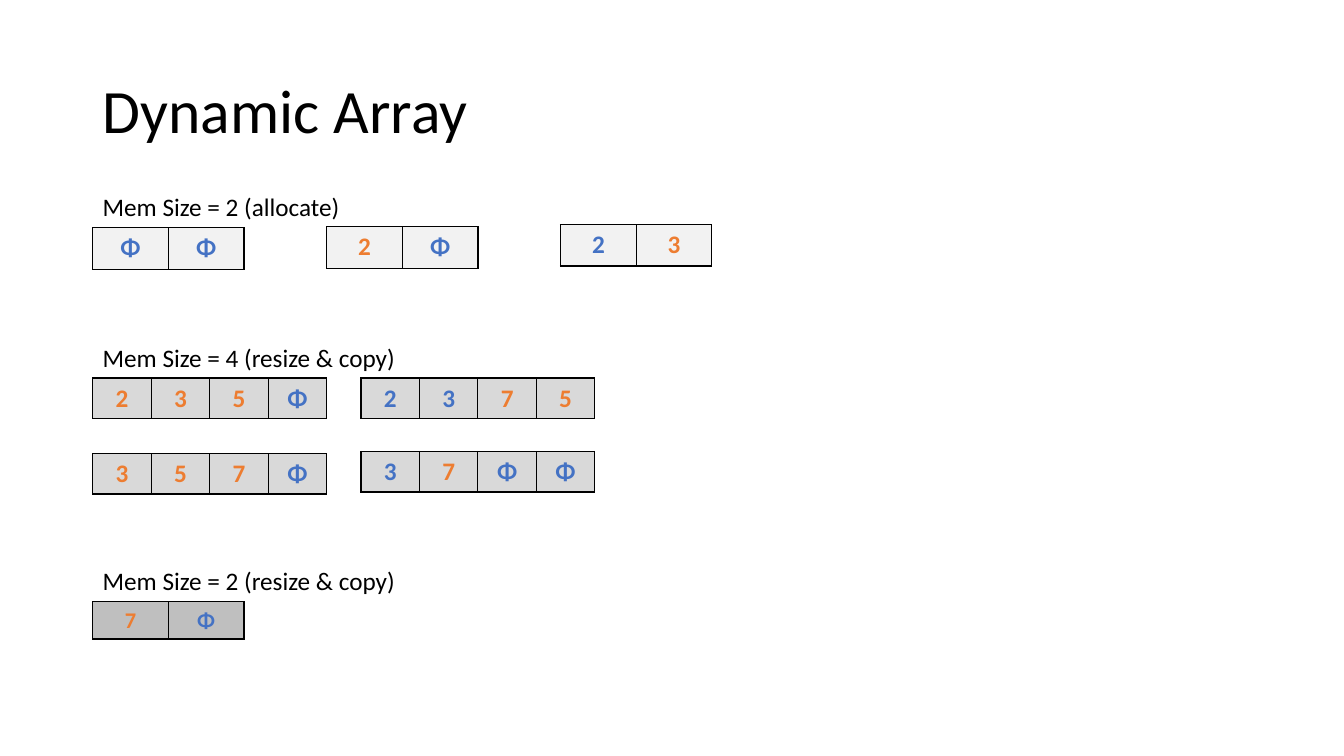
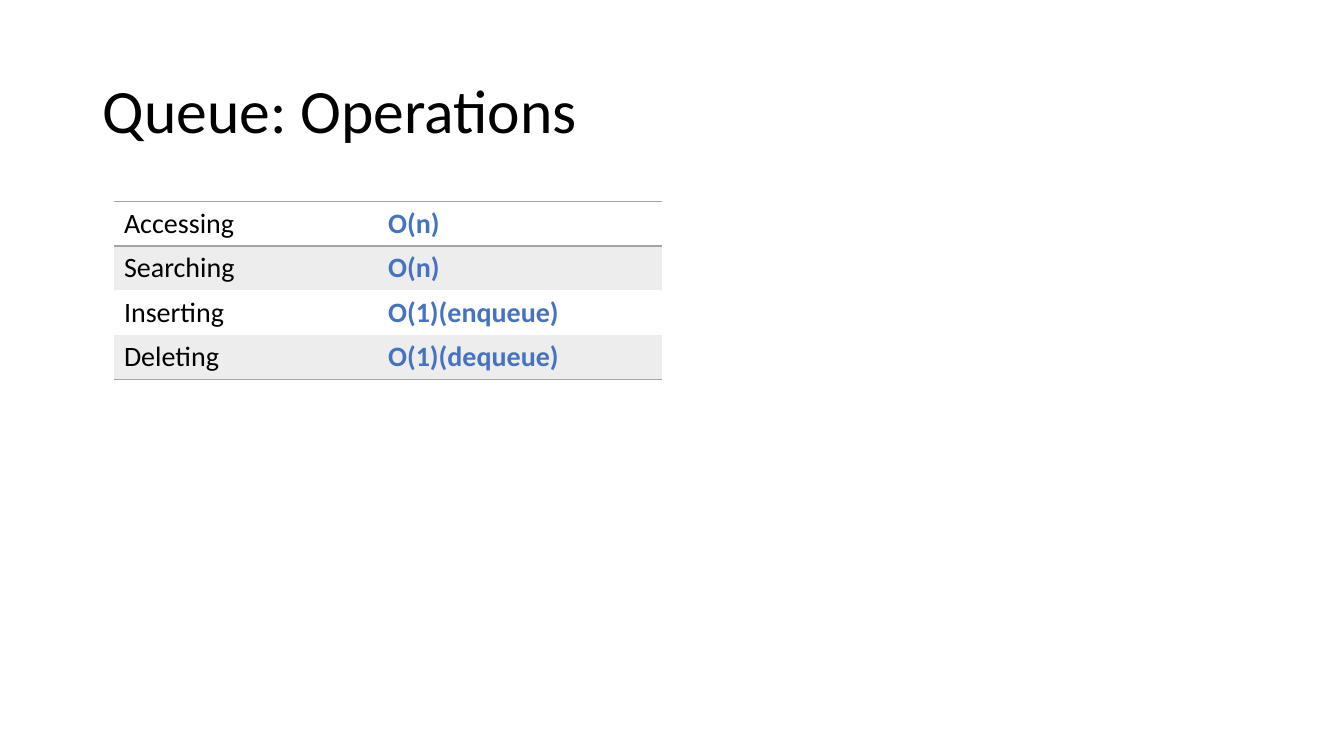
"""Build two slides on dynamic arrays and queue operations."""
import pptx
import pptx.util
import pptx.dml.color
import pptx.enum.text
import pptx.oxml
import pptx.oxml.ns

Inches, Pt = pptx.util.Inches, pptx.util.Pt
Color = pptx.dml.color.RGBColor
Align = pptx.enum.text.PP_ALIGN
Anchor = pptx.enum.text.MSO_ANCHOR

FONT = "Calibri"
BLACK = Color(0x00, 0x00, 0x00)
BLUE = Color(0x44, 0x72, 0xC4)
ORANGE = Color(0xED, 0x7D, 0x31)
RULE = Color(0xA5, 0xA5, 0xA5)
BAND = Color(0xED, 0xED, 0xED)
PALE = Color(0xF2, 0xF2, 0xF2)
MID = Color(0xD9, 0xD9, 0xD9)
DARK = Color(0xBF, 0xBF, 0xBF)
HUES = {"B": BLUE, "O": ORANGE}
PLAIN = "{2D5ABB26-0587-4C30-8999-92F81FD0307C}"
LEFT = 0.92

LABELS = [
    (1.85, "Mem Size = 2 (allocate)"),
    (3.35, "Mem Size = 4 (resize & copy)"),
    (5.56, "Mem Size = 2 (resize & copy)"),
]
GROUPS = [
    {"fill": PALE, "width": 0.75, "height": 0.41, "size": 18, "arrays": [
        (LEFT, 2.26, "ΦΦ", "BB"),
        (3.24, 2.25, "2Φ", "OB"),
        (5.56, 2.23, "23", "BO"),
    ]},
    {"fill": MID, "width": 0.58, "height": 0.4, "size": 18, "arrays": [
        (LEFT, 3.75, "235Φ", "OOOB"),
        (3.58, 3.75, "2375", "BBOO"),
        (LEFT, 4.5, "357Φ", "OOOB"),
        (3.58, 4.48, "37ΦΦ", "BOBB"),
    ]},
    {"fill": DARK, "width": 0.75, "height": 0.37, "size": 16, "arrays": [
        (LEFT, 5.97, "7Φ", "OB"),
    ]},
]
COSTS = [
    ("Accessing", "O(n)"),
    ("Searching", "O(n)"),
    ("Inserting", "O(1)(enqueue)"),
    ("Deleting", "O(1)(dequeue)"),
]


def write(frame, text, size, color, bold=False, align=Align.LEFT):
    """Put one styled run into the first paragraph."""
    para = frame.paragraphs[0]
    para.alignment = align
    run = para.add_run()
    run.text = text
    font = run.font
    font.name, font.size, font.bold = FONT, Pt(size), bold
    font.color.rgb = color
    return para


def add_page(deck, title):
    """Add a slide with the shared title style."""
    slide = deck.slides.add_slide(deck.slide_layouts[5])
    head = slide.shapes.title
    head.left, head.top = Inches(LEFT), Inches(0.4)
    head.width, head.height = Inches(11.5), Inches(1.45)
    head.text_frame.vertical_anchor = Anchor.MIDDLE
    write(head.text_frame, title, 44, BLACK).line_spacing = 0.9
    return slide


def add_label(slide, top, text):
    """Add a line of text above a group of arrays."""
    box = slide.shapes.add_textbox(Inches(LEFT), Inches(top), Inches(4), Inches(0.4))
    box.text_frame.word_wrap = True
    write(box.text_frame, text, 18, BLACK)


def add_grid(slide, left, top, widths, height, count):
    """Add a table with no style of its own."""
    frame = slide.shapes.add_table(
        count, len(widths), Inches(left), Inches(top),
        Inches(sum(widths)), Inches(height * count))
    grid = frame.table
    grid.first_row = grid.horz_banding = False
    props = grid._tbl.tblPr
    props.find(pptx.oxml.ns.qn("a:tableStyleId")).text = PLAIN
    for col, width in zip(grid.columns, widths):
        col.width = Inches(width)
    return grid


def paint(cell, fill, sides, color):
    """Draw one-point borders on the given sides, then fill the cell."""
    props = cell._tc.get_or_add_tcPr()
    for side in sides:
        props.append(pptx.oxml.parse_xml(
            f'<a:ln{side} {pptx.oxml.ns.nsdecls("a")} w="{Pt(1)}"><a:solidFill>'
            f'<a:srgbClr val="{color}"/></a:solidFill></a:ln{side}>'))
    if fill is None:
        cell.fill.background()
    else:
        cell.fill.solid()
        cell.fill.fore_color.rgb = fill


def add_array(slide, group, left, top, items, hues):
    """Draw one array as a single-row table."""
    grid = add_grid(slide, left, top, [group["width"]] * len(items), group["height"], 1)
    for cell, item, hue in zip(grid.iter_cells(), items, hues):
        paint(cell, group["fill"], "LRTB", BLACK)
        write(cell.text_frame, item, group["size"], HUES[hue], True, Align.CENTER)


def add_costs(slide):
    """Draw the banded table of operation costs."""
    grid = add_grid(slide, 1.13, 2, [2.62, 2.82], 0.44, len(COSTS))
    edges = {0: "TB", len(COSTS) - 1: "B"}
    for row, texts in enumerate(COSTS):
        for col, text in enumerate(texts):
            cell = grid.cell(row, col)
            paint(cell, BAND if row % 2 else None, edges.get(row, ""), RULE)
            write(cell.text_frame, text, 20, BLUE if col else BLACK, col == 1)


def main():
    """Build and save the deck."""
    deck = pptx.Presentation()
    deck.slide_width, deck.slide_height = Inches(13.33), Inches(7.5)
    slide = add_page(deck, "Dynamic Array")
    for top, text in LABELS:
        add_label(slide, top, text)
    for group in GROUPS:
        for array in group["arrays"]:
            add_array(slide, group, *array)
    add_costs(add_page(deck, "Queue: Operations"))
    deck.save("out.pptx")


if __name__ == "__main__":
    main()
